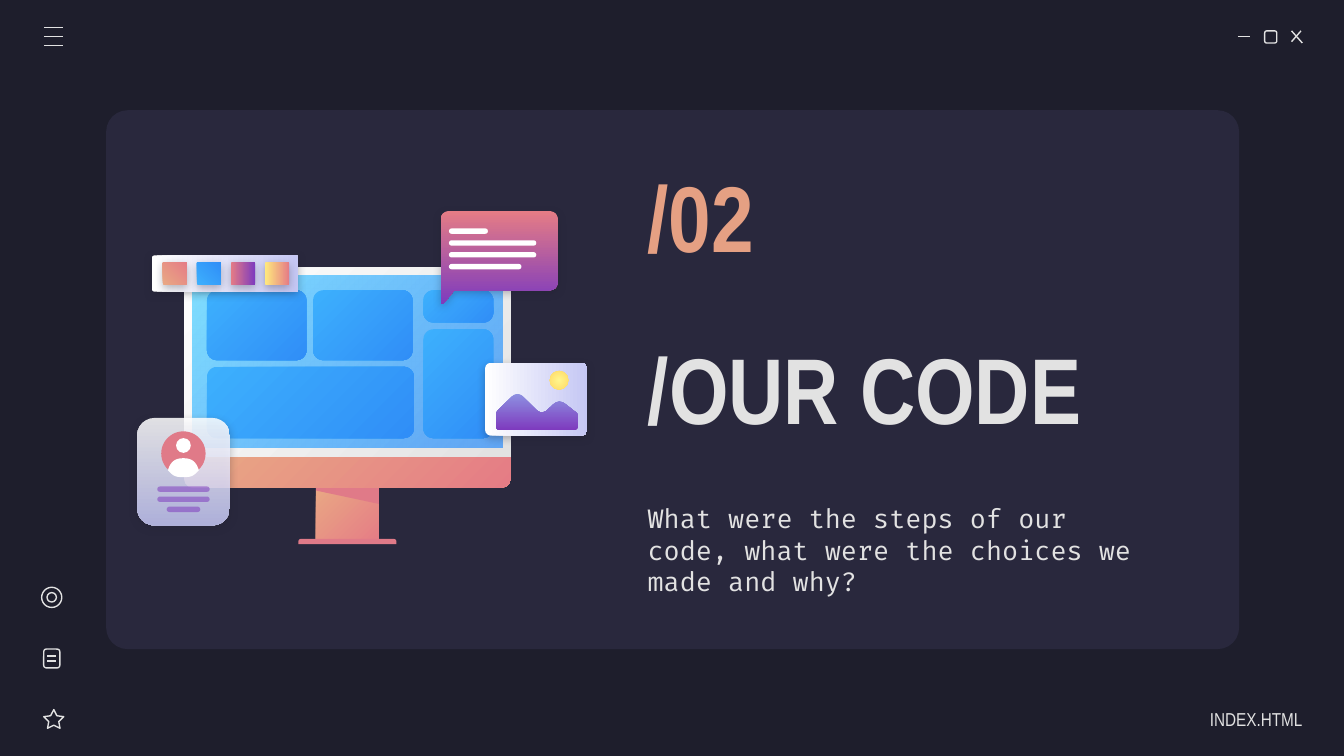
import math

import pptx
import pptx.dml.color
import pptx.enum.shapes
import pptx.enum.text
import pptx.oxml
import pptx.oxml.ns
import pptx.util

# Grid of 100 columns; rows have the same size as columns
SLIDE_WIDTH = pptx.util.Inches(10)
CELL = SLIDE_WIDTH // 100
SHAPE = pptx.enum.shapes.MSO_SHAPE
ALIGN = pptx.enum.text.PP_ALIGN
NAMESPACE = pptx.oxml.ns.nsdecls("a")

COLORS = {
    "background": "1E1E2C", "panel": "29283D", "light": "E2E2E2",
    "white": "FFFFFF", "orange": "E5A083", "peach": "E9A984",
    "coral": "E57C85", "rose": "E07A88", "purple": "7E3BBE",
    "violet": "8D90E1", "lavender": "C5C7F4", "cyan": "80DFFF",
    "azure": "318FFA", "sky": "3DB0FD", "blue": "308EF7",
    "lemon": "FFF68E", "gold": "FFD966", "yellow": "FFEA7D",
}


def rgb(name):
    return pptx.dml.color.RGBColor.from_string(COLORS[name])


def cells(*values):
    return [round(value * CELL) for value in values]


def set_alpha(color, percent):
    if percent < 100:
        color.append(pptx.oxml.parse_xml(
            f'<a:alpha {NAMESPACE} val="{percent * 1000}"/>'))


def paint(shape, fill=None, angle=45, alphas=(100, 100), shadow=False):
    """Fill with one colour name or a pair; angle None means radial."""
    shape.shadow.inherit = False
    shape.line.fill.background()
    if isinstance(fill, tuple):
        shape.fill.gradient()
        for stop, name in zip(shape.fill.gradient_stops, fill):
            stop.color.rgb = rgb(name)
        if angle is None:
            linear = shape.element.spPr.find(".//" + pptx.oxml.ns.qn("a:lin"))
            linear.getparent().replace(linear, pptx.oxml.parse_xml(
                f'<a:path {NAMESPACE} path="circle"><a:fillToRect l="50000" '
                't="50000" r="50000" b="50000"/></a:path>'))
        else:
            shape.fill.gradient_angle = 360 - angle
    elif fill:
        shape.fill.solid()
        shape.fill.fore_color.rgb = rgb(fill)
    else:
        shape.fill.background()
    colors = shape.element.spPr.iter(pptx.oxml.ns.qn("a:srgbClr"))
    for color, percent in zip(list(colors), alphas):
        set_alpha(color, percent)
    if shadow:
        effects = shape.element.spPr.find(pptx.oxml.ns.qn("a:effectLst"))
        effects.append(pptx.oxml.parse_xml(
            f'<a:outerShdw {NAMESPACE} blurRad="57150" dist="19050" dir="5400000" '
            f'algn="bl" rotWithShape="0"><a:srgbClr val="{COLORS["background"]}">'
            '<a:alpha val="30000"/></a:srgbClr></a:outerShdw>'))


def add_preset(slide, kind, box, adjustments=(), rotation=0, **style):
    shape = slide.shapes.add_shape(kind, *cells(*box))
    for index, value in enumerate(adjustments):
        shape.adjustments[index] = value
    shape.rotation = rotation
    paint(shape, **style)
    return shape


def add_rounded(slide, box, radius, **style):
    return add_preset(slide, SHAPE.ROUNDED_RECTANGLE, box,
                      [min(0.5, radius / min(box[2:]))], **style)


def add_icon(slide, kind, box, adjustments=()):
    shape = add_preset(slide, kind, box, adjustments)
    shape.line.color.rgb = rgb("light")
    shape.line.width = pptx.util.Pt(0.75)


def add_line(slide, *ends):
    line = slide.shapes.add_connector(
        pptx.enum.shapes.MSO_CONNECTOR.STRAIGHT, *cells(*ends))
    line.line.color.rgb = rgb("light")
    line.line.width = pptx.util.Pt(0.75)
    line.element.spPr.append(pptx.oxml.parse_xml(f"<a:effectLst {NAMESPACE}/>"))


def add_outline(slide, corners, **style):
    """Polygon of (column, row, radius) corners, each rounded by a curve."""
    points = []
    for index, (x, y, radius) in enumerate(corners):
        ends = []
        for other in (corners[index - 1], corners[(index + 1) % len(corners)]):
            share = radius / math.dist((x, y), other[:2])
            ends.append((x + share * (other[0] - x), y + share * (other[1] - y)))
        (x1, y1), (x2, y2) = ends
        steps = 8 if radius else 1
        for step in range(steps + 1 if radius else 1):
            t = step / steps
            a, b, c = (1 - t) ** 2, 2 * t * (1 - t), t ** 2
            points.append(cells(a * x1 + b * x + c * x2, a * y1 + b * y + c * y2))
    builder = slide.shapes.build_freeform(*points[0])
    builder.add_line_segments(points[1:], close=True)
    paint(builder.convert_to_shape(), **style)


def write_text(shape, text, box, size, font, color, bold=False,
               align=ALIGN.LEFT, right_inset=1):
    shape.left, shape.top, shape.width, shape.height = cells(*box)
    frame = shape.text_frame
    frame.text = text
    frame.word_wrap = True
    frame.auto_size = pptx.enum.text.MSO_AUTO_SIZE.NONE
    frame.vertical_anchor = pptx.enum.text.MSO_ANCHOR.MIDDLE
    frame.margin_left = frame.margin_top = frame.margin_bottom = CELL
    frame.margin_right = right_inset * CELL
    paragraph = frame.paragraphs[0]
    paragraph.alignment = align
    run_font = paragraph.runs[0].font
    run_font.name, run_font.size, run_font.bold = font, pptx.util.Pt(size), bold
    run_font.color.rgb = rgb(color)


def add_text(slide, text, box, *style, **options):
    write_text(slide.shapes.add_textbox(0, 0, CELL, CELL), text, box, *style, **options)


def draw_icons(slide):
    # Window buttons
    add_line(slide, 92.1, 2.7, 93, 2.7)
    add_icon(slide, SHAPE.ROUNDED_RECTANGLE, (94.1, 2.3, 0.9, 0.9))
    add_line(slide, 96.1, 2.3, 96.9, 3.2)
    add_line(slide, 96.8, 2.3, 96.1, 3.1)
    # Menu
    for index in range(3):
        row = 2.05 + 0.66 * index
        add_line(slide, 3.3, row, 4.7, row)
    # Star, page and ring
    add_icon(slide, SHAPE.STAR_5_POINT, (3.25, 52.8, 1.5, 1.4), [0.25])
    add_icon(slide, SHAPE.ROUNDED_RECTANGLE, (3.25, 48.3, 1.2, 1.4))
    for row in (48.8, 49.2):
        add_line(slide, 3.5, row, 4.2, row)
    for inset in (0, 0.4):
        size = 1.5 - 2 * inset
        add_icon(slide, SHAPE.OVAL, (3.1 + inset, 43.7 + inset, size, size))


def draw_monitor(slide):
    warm = ("peach", "coral")
    add_preset(slide, SHAPE.RECTANGLE, (23.5, 36.1, 4.7, 4.3), fill=warm)
    add_preset(slide, SHAPE.ROUND_2_SAME_RECTANGLE, (22.2, 40.1, 7.3, 0.4),
               [0.5, 0], fill="rose")
    add_outline(slide, [(23.5, 36.2, 0), (23.5, 36.5, 0), (28.2, 37.5, 0),
                        (28.2, 36.2, 0)], fill="rose")
    add_preset(slide, SHAPE.ROUND_2_SAME_RECTANGLE, (13.7, 33.9, 24.3, 2.4),
               [0, 0.29], fill=warm)
    add_preset(slide, SHAPE.ROUND_2_SAME_RECTANGLE, (13.7, 19.9, 24.3, 14.1),
               [0.05, 0], fill=("white", "light"))
    add_preset(slide, SHAPE.RECTANGLE, (14.3, 20.5, 23.1, 12.8),
               fill=("cyan", "azure"), alphas=(100, 72))
    # Screen tiles
    for box in ((15.4, 21.6, 7.4, 5.2), (15.4, 27.3, 15.4, 5.3),
                (23.3, 21.6, 7.4, 5.2), (31.5, 21.6, 5.2, 2.4),
                (31.5, 24.5, 5.2, 8.1)):
        add_rounded(slide, box, 0.75, fill=("sky", "blue"))


def draw_cards(slide):
    pale = ("white", "lavender")
    # Speech bubble
    add_outline(slide, [(32.8, 15.7, 0.7), (41.5, 15.7, 0.7), (41.5, 21.6, 0.7),
                        (33.8, 21.6, 0), (33, 22.6, 0.1), (32.8, 22.6, 0.1)],
                fill=("coral", "purple"), angle=90, shadow=True)
    for index, width in enumerate((2.9, 6.5, 6.5, 5.4)):
        add_rounded(slide, (33.4, 17 + 0.88 * index, width, 0.4), 0.2, fill="white")
    # Profile
    add_rounded(slide, (10.2, 31.1, 6.9, 8), 1.3, fill=pale, angle=90,
                alphas=(86, 86), shadow=True)
    add_preset(slide, SHAPE.OVAL, (12, 32.1, 3.3, 3.3), fill="rose")
    add_preset(slide, SHAPE.OVAL, (13.1, 32.6, 1.1, 1.1), fill="white")
    add_outline(slide, [(12.5, 35, 0), (12.8, 34.1, 0.8), (14.5, 34.1, 0.8),
                        (14.8, 35, 0), (14.3, 35.5, 0.4), (13, 35.5, 0.4)],
                fill="white")
    for index, width in enumerate((3.9, 3.9, 2.5)):
        add_rounded(slide, (13.65 - width / 2, 36.2 + 0.75 * index, width, 0.4), 0.2,
                    fill="purple", alphas=(54,))
    # Landscape
    add_rounded(slide, (37.2, 25.9, 5.4, 7.6), 0.4, rotation=270, fill=pale,
                angle=90, shadow=True)
    add_outline(slide, [(36.9, 30.7, 0.2), (38.5, 29.1, 0.6), (40.3, 30.9, 0.6),
                        (41.6, 29.7, 0.6), (43, 30.8, 0.2), (43, 32, 0.4),
                        (36.9, 32, 0.4)], fill=("violet", "purple"), angle=90)
    add_preset(slide, SHAPE.OVAL, (40.9, 27.6, 1.4, 1.4),
               fill=("lemon", "gold"), angle=None)
    # Colour swatches
    add_rounded(slide, (15.4, 14.9, 2.7, 10.9), 0.2, rotation=270, fill=pale,
                angle=90, shadow=True)
    swatches = ((("peach", "coral"), 45), (("sky", "blue"), 45),
                (("coral", "purple"), 90), (("yellow", "coral"), 90))
    for index, (fill, angle) in enumerate(swatches):
        add_rounded(slide, (12.15 + 2.54 * index, 19.45, 1.7, 1.8), 0.12,
                    rotation=270, fill=fill, angle=angle, shadow=True)


def main():
    presentation = pptx.Presentation()
    presentation.slide_width = SLIDE_WIDTH
    presentation.slide_height = SLIDE_WIDTH * 9 // 16
    slide = presentation.slides.add_slide(presentation.slide_layouts[5])
    slide.background.fill.solid()
    slide.background.fill.fore_color.rgb = rgb("background")

    # Panel behind the title
    panel = add_rounded(slide, (7.9, 8.2, 84.3, 40.1), 1.6, fill="panel")
    title = slide.shapes.title
    title.element.addprevious(panel.element)
    draw_icons(slide)

    # Texts
    write_text(title, "/OUR CODE", (47.2, 20.6, 43, 16.4), 50, "Arial Narrow",
               "light", bold=True)
    add_text(slide, "/02", (47.2, 11.4, 17.8, 9.2), 50, "Arial Narrow", "orange",
             bold=True)
    add_text(slide, "What were the steps of our code, what were the choices we "
             "made and why?", (47.2, 37, 39.9, 7.8), 14, "Fira Code", "light")
    add_text(slide, "INDEX.HTML", (85.2, 52, 11.7, 3), 10, "Arial Narrow", "light",
             align=ALIGN.RIGHT, right_inset=0)

    # Illustration
    draw_monitor(slide)
    draw_cards(slide)
    presentation.save("out.pptx")


if __name__ == "__main__":
    main()
